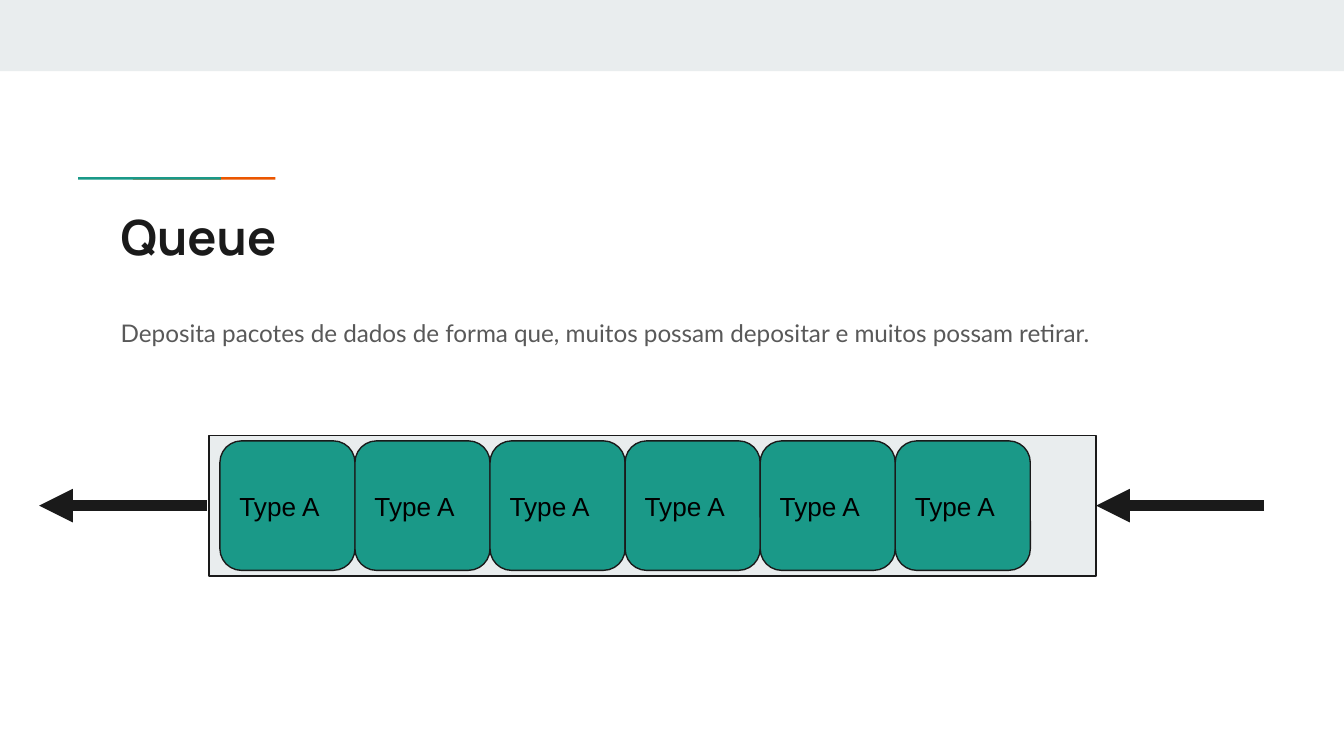
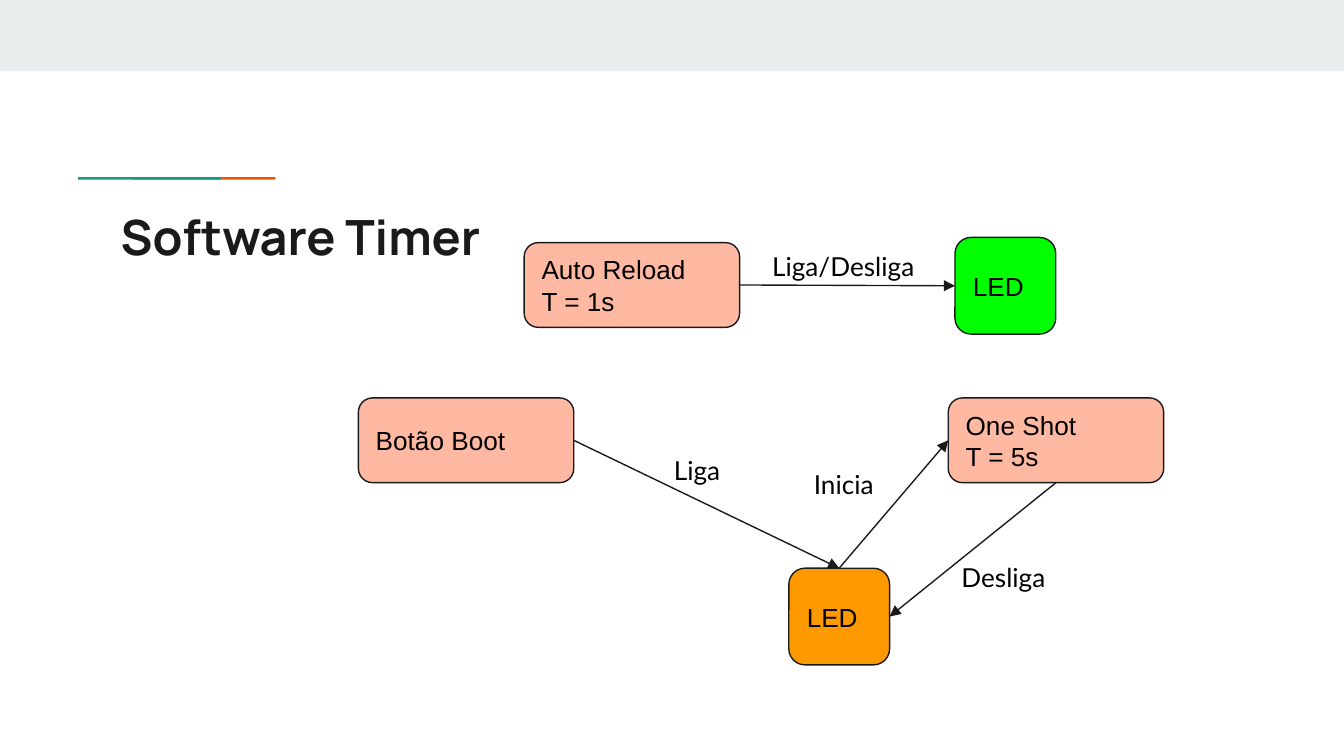
import pptx
import pptx.util
import pptx.dml.color
import pptx.enum.shapes
import pptx.enum.text
import pptx.oxml
import pptx.oxml.ns

Pt = pptx.util.Pt
KIND = pptx.enum.shapes.MSO_SHAPE
ANCHOR = pptx.enum.text.MSO_ANCHOR
ALIGN = pptx.enum.text.PP_ALIGN

HEX = {
    "band": "E9EDEE", "teal": "1A9988", "orange": "EB5600", "ink": "1A1A1A",
    "grey": "595959", "black": "000000", "peach": "FFB8A2",
    "green": "00FF00", "amber": "FF9900",
}
WIDTH, HEIGHT = 720, 405
INSET = 7.2
TOP, LEFT, BOTTOM, RIGHT = range(4)  # connection sites of a box


def color(name):
    return pptx.dml.color.RGBColor.from_string(HEX[name])


def write(shape, text, font, size, ink, bold=False, anchor=ANCHOR.TOP):
    frame = shape.text_frame
    frame.text = text
    frame.word_wrap = True
    frame.vertical_anchor = anchor
    frame.margin_left = frame.margin_right = Pt(INSET)
    frame.margin_top = frame.margin_bottom = Pt(INSET)
    for para in frame.paragraphs:
        para.alignment = ALIGN.LEFT
        for run in para.runs:
            run.font.name = font
            run.font.size = Pt(size)
            run.font.bold = bold
            run.font.color.rgb = color(ink)


def label(slide, box, text, font="Lato", size=14, ink="black", bold=False):
    shape = slide.shapes.add_textbox(*map(Pt, box))
    write(shape, text, font, size, ink, bold)


def block(slide, box, fill, kind=KIND.RECTANGLE, edge=True, text=None):
    shape = slide.shapes.add_shape(kind, *map(Pt, box))
    shape.shadow.inherit = False
    shape.fill.solid()
    shape.fill.fore_color.rgb = color(fill)
    if edge:
        shape.line.color.rgb = color("ink")
        shape.line.width = Pt(0.75)
    else:
        shape.line.fill.background()
    if text:
        write(shape, text, "Arial", 14, "black", anchor=ANCHOR.MIDDLE)
    return shape


def arrow(slide, start=(0, 0), end=(0, 0), width=0.75):
    line = slide.shapes.add_connector(
        pptx.enum.shapes.MSO_CONNECTOR.STRAIGHT, *map(Pt, (*start, *end)))
    line.line.color.rgb = color("ink")
    line.line.width = Pt(width)
    tip = pptx.oxml.parse_xml(
        f'<a:tailEnd {pptx.oxml.ns.nsdecls("a")} type="triangle"/>')
    line.line._get_or_add_ln().append(tip)
    props = line._element.spPr
    props.append(pptx.oxml.parse_xml(
        f'<a:effectLst {pptx.oxml.ns.nsdecls("a")}/>'))
    return line


# Band, two-tone accent and title shared by the slides
def base(deck, title):
    slide = deck.slides.add_slide(deck.slide_layouts[6])
    block(slide, (0, 0, WIDTH, 38.2), "band", edge=False)
    for x, fill in ((71.2, "orange"), (41.9, "teal")):
        block(slide, (x, 94.9, 76.4, 1.4), fill, edge=False)
    label(slide, (57.6, 103.7, 605.5, 42.5), title, "Manrope", 26, "ink", True)
    return slide


# Row of items with an arrow in and an arrow out
def queue(slide, box, count):
    x, y, wide, high = box
    step, reach = 72.36, 90
    block(slide, box, "band")
    for i in range(count):
        tile = (x + 5.8 + i * step, y + 3, step, high - 6)
        block(slide, tile, "teal", KIND.ROUNDED_RECTANGLE, text="Type A")
    mid = y + high / 2
    for start in (x - 1, x + wide + reach):
        arrow(slide, (start, mid), (start - reach, mid), 6)


# Timers, button and LEDs joined by labelled arrows
def timers(slide, box):
    left, top = box
    step = (KIND.FLOWCHART_ALTERNATE_PROCESS, 115.4, 45.4)
    led = (KIND.ROUNDED_RECTANGLE, 54, 51.8)
    nodes = {}
    for name, x, y, (kind, wide, high), fill, text in (
        ("auto", 88.8, 2.8, step, "peach", "Auto Reload\nT = 1s"),
        ("lamp", 319.6, 0, led, "green", "LED"),
        ("bulb", 230.6, 177.2, led, "amber", "LED"),
        ("shot", 316, 86, step, "peach", "One Shot\nT = 5s"),
        ("boot", 0, 86, step, "peach", "Botão Boot"),
    ):
        place = (left + x, top + y, wide, high)
        nodes[name] = block(slide, place, fill, kind, text=text)

    for tail, out, head, into in (
        ("auto", RIGHT, "lamp", LEFT),
        ("shot", BOTTOM, "bulb", RIGHT),
        ("boot", RIGHT, "bulb", TOP),
        ("bulb", TOP, "shot", LEFT),
    ):
        line = arrow(slide)
        line.begin_connect(nodes[tail], out)
        line.end_connect(nodes[head], into)

    for text, x, y, wide in (
        ("Liga", 162, 108.8, 75),
        ("Desliga", 316, 166.4, 75),
        ("Inicia", 236.9, 116.7, 75),
        ("Liga/Desliga", 214.6, 0, 97.2),
    ):
        label(slide, (left + x, top + y, wide, 25), text)


def main():
    deck = pptx.Presentation()
    deck.slide_width, deck.slide_height = Pt(WIDTH), Pt(HEIGHT)

    slide = base(deck, "Queue")
    label(slide, (57.6, 163.4, 605.5, 177.8),
          "Deposita pacotes de dados de forma que, muitos possam depositar "
          "e muitos possam retirar.", size=13, ink="grey")
    queue(slide, (112, 233.2, 475.2, 75.4), 6)

    slide = base(deck, "Software Timer")
    timers(slide, (192, 127.2))

    deck.save("out.pptx")


if __name__ == "__main__":
    main()
